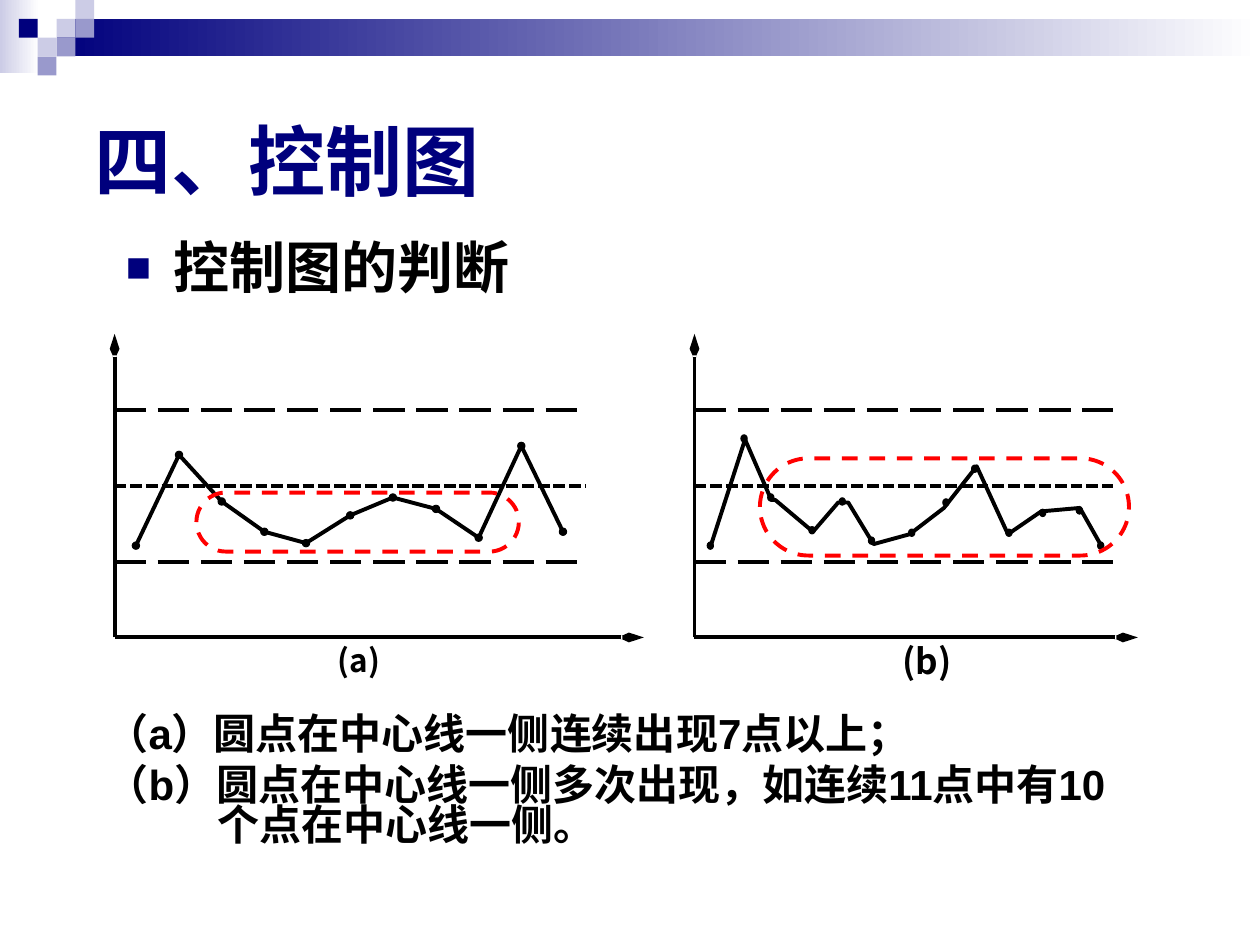
from lxml import etree
from pptx import Presentation
from pptx import util as u
from pptx.dml.color import RGBColor
from pptx.enum import dml, shapes, text
from pptx.oxml.ns import qn

NAVY, PALE, MID = "00007D", "CCCCE6", "9999CC"
BLACK, WHITE, RED = "000000", "FFFFFF", "FF0000"
DASH = dml.MSO_LINE
KIND = shapes.MSO_SHAPE

# Offsets in cm from the top of each chart's vertical axis
DOTS_A = [(0.43, 4.27), (1.3, 2.44), (2.16, 3.38), (3.02, 3.99), (3.86, 4.22),
          (4.75, 3.66), (5.61, 3.3), (6.48, 3.53), (7.34, 4.11), (8.2, 2.26),
          (9.04, 3.99)]
PATH_B = [(0.33, 4.27), (1.02, 2.13), (1.55, 3.35), (1.63, 3.35), (2.39, 3.99),
          (2.9, 3.4), (3.1, 3.4), (3.61, 4.24), (4.34, 4.04), (5.03, 3.51),
          (5.69, 2.67), (6.32, 4.04), (6.99, 3.58), (7.77, 3.51), (8.2, 4.27)]
DOTS_B = [(0.32, 4.27), (1, 2.11), (1.54, 3.3), (2.37, 3.96), (2.98, 3.38),
          (3.57, 4.17), (4.38, 4.01), (5.07, 3.4), (5.65, 2.72), (6.34, 4.01),
          (7.02, 3.61), (7.76, 3.56), (8.19, 4.27)]


def color(code):
    return RGBColor.from_string(code)


def cms(*vals):
    return [u.Cm(v) for v in vals]


def pen(line, code, width=2.25, dash=None):
    line.color.rgb = color(code)
    line.width = u.Pt(width)
    if dash:
        line.dash_style = dash


def shape(slide, kind, box, fill=None):
    item = slide.shapes.add_shape(kind, *cms(*box))
    item.shadow.inherit = False
    if fill:
        item.fill.solid()
        item.fill.fore_color.rgb = color(fill)
    else:
        item.fill.background()
    item.line.fill.background()
    return item


def fade(slide, box, code):
    """Bar that runs from the given colour to white, left to right."""
    fill = shape(slide, KIND.RECTANGLE, box).fill
    fill.gradient()
    fill.gradient_angle = 0
    for stop, tone in zip(fill.gradient_stops, (code, WHITE)):
        stop.color.rgb = color(tone)


def line(slide, start, end, dash=None, arrow=False):
    item = slide.shapes.add_connector(shapes.MSO_CONNECTOR.STRAIGHT,
                                      *cms(*start, *end))
    pen(item.line, BLACK, dash=dash)
    props = item._element.spPr
    if arrow:
        etree.SubElement(props.find(qn("a:ln")), qn("a:tailEnd"),
                         type="arrow", w="sm", len="lg")
    etree.SubElement(props, qn("a:effectLst"))


def frame(slide, box, inset=(0.25, 0.13)):
    body = slide.shapes.add_textbox(*cms(*box)).text_frame
    body.word_wrap = True
    body.margin_left = body.margin_right = u.Cm(inset[0])
    body.margin_top = body.margin_bottom = u.Cm(inset[1])
    return body


def write(para, words, size, code=BLACK, face="Arial"):
    run = para.add_run()
    run.text = words
    font = run.font
    font.size, font.bold, font.name = u.Pt(size), True, face
    font.color.rgb = color(code)


def indent(para, gap, space, before):
    """Hanging indent of gap cm, with line spacing and space before."""
    props = para._p.get_or_add_pPr()
    props.set("marL", str(u.Cm(gap)))
    props.set("indent", str(-u.Cm(gap)))
    para.line_spacing = space
    para.space_before = u.Pt(before)
    return props


def banner(slide, left, top, width):
    fade(slide, (left, top, 0.79, 1.47), PALE)
    fade(slide, (left + 1.14, top + 0.38, width - 1.14, 0.76), NAVY)
    side = 0.38
    tiles = [(3, 1, PALE), (4, 0, PALE), (4, 1, MID), (2, 2, PALE),
             (1, 1, NAVY), (3, 2, MID), (2, 3, MID)]
    for col, row, code in tiles:
        box = (left + col * side, top + row * side, side, side)
        shape(slide, KIND.RECTANGLE, box, code)


def title(slide, box):
    body = frame(slide, box)
    body.vertical_anchor = text.MSO_ANCHOR.MIDDLE
    write(body.paragraphs[0], "四、控制图", 44, NAVY)


def topic(slide, box):
    para = frame(slide, box).paragraphs[0]
    props = indent(para, 0.95, 0.9, 8)
    tone = etree.SubElement(props, qn("a:buClr"))
    etree.SubElement(tone, qn("a:srgbClr"), val=NAVY)
    etree.SubElement(props, qn("a:buSzPct"), val="75000")
    etree.SubElement(props, qn("a:buFont"), typeface="Arial")
    etree.SubElement(props, qn("a:buChar"), char="■")
    write(para, "控制图的判断", 32)


def chart(slide, left, top, span, axis, path, dots, dot, label, spot, size, ring):
    """Control chart: limits span cm wide, dots of the given width, a ringed run."""
    high = 6.12

    def at(x, y):
        return left + x, top + y

    limits = [(1.53, DASH.LONG_DASH), (3.06, DASH.SQUARE_DOT),
              (4.6, DASH.LONG_DASH)]
    for y, dash in limits:
        line(slide, at(0, y), at(span, y), dash)
    line(slide, at(0, high), at(0, 0), arrow=True)
    line(slide, at(0, high), at(axis, high), arrow=True)

    first, *rest = [cms(*at(*spot)) for spot in path]
    pencil = slide.shapes.build_freeform(*first)
    pencil.add_line_segments(rest, close=False)
    trace = pencil.convert_to_shape()
    trace.shadow.inherit = False
    trace.fill.background()
    pen(trace.line, BLACK)

    tall = 0.15
    for x, y in dots:
        box = (*at(x - dot / 2, y - tall / 2), dot, tall)
        pen(shape(slide, KIND.OVAL, box, BLACK).line, BLACK, 0.54)

    x, y, *dims = spot
    para = frame(slide, (*at(x, y), *dims), (0, 0)).paragraphs[0]
    para.alignment = text.PP_ALIGN.JUSTIFY
    write(para, label, size, face="Noto Sans CJK SC")

    x, y, *dims = ring
    pill = shape(slide, KIND.ROUNDED_RECTANGLE, (*at(x, y), *dims))
    pill.adjustments[0] = 0.5
    pen(pill.line, RED, dash=DASH.DASH)


def rules(slide, box):
    body = frame(slide, box)
    lines = ["（a）圆点在中心线一侧连续出现7点以上；",
             "（b）圆点在中心线一侧多次出现，如连续11点中有10个点在中心线一侧。"]
    for i, words in enumerate(lines):
        para = body.add_paragraph() if i else body.paragraphs[0]
        indent(para, 2.24, 0.8, 6)
        write(para, words, 24)


def main():
    deck = Presentation()
    deck.slide_width, deck.slide_height = cms(25.4, 19.05)
    slide = deck.slides.add_slide(deck.slide_layouts[6])
    banner(slide, 0, 0, 25.4)
    title(slide, (1.65, 1.32, 22.86, 3.81))
    topic(slide, (2.29, 4.72, 21.41, 1.6))
    chart(slide, 2.31, 6.73, 9.5, 10.67, DOTS_A, DOTS_A, 0.15,
          "(a)", (4.5, 6.2, 0.94, 0.81), 18, (1.65, 3.2, 6.5, 1.19))
    chart(slide, 14, 6.73, 8.43, 8.94, PATH_B, DOTS_B, 0.13,
          "(b)", (4.19, 6.17, 0.99, 0.69), 20, (1.32, 2.51, 7.44, 1.96))
    rules(slide, (1.9, 14.33, 21.41, 3))
    deck.save("out.pptx")


if __name__ == "__main__":
    main()
